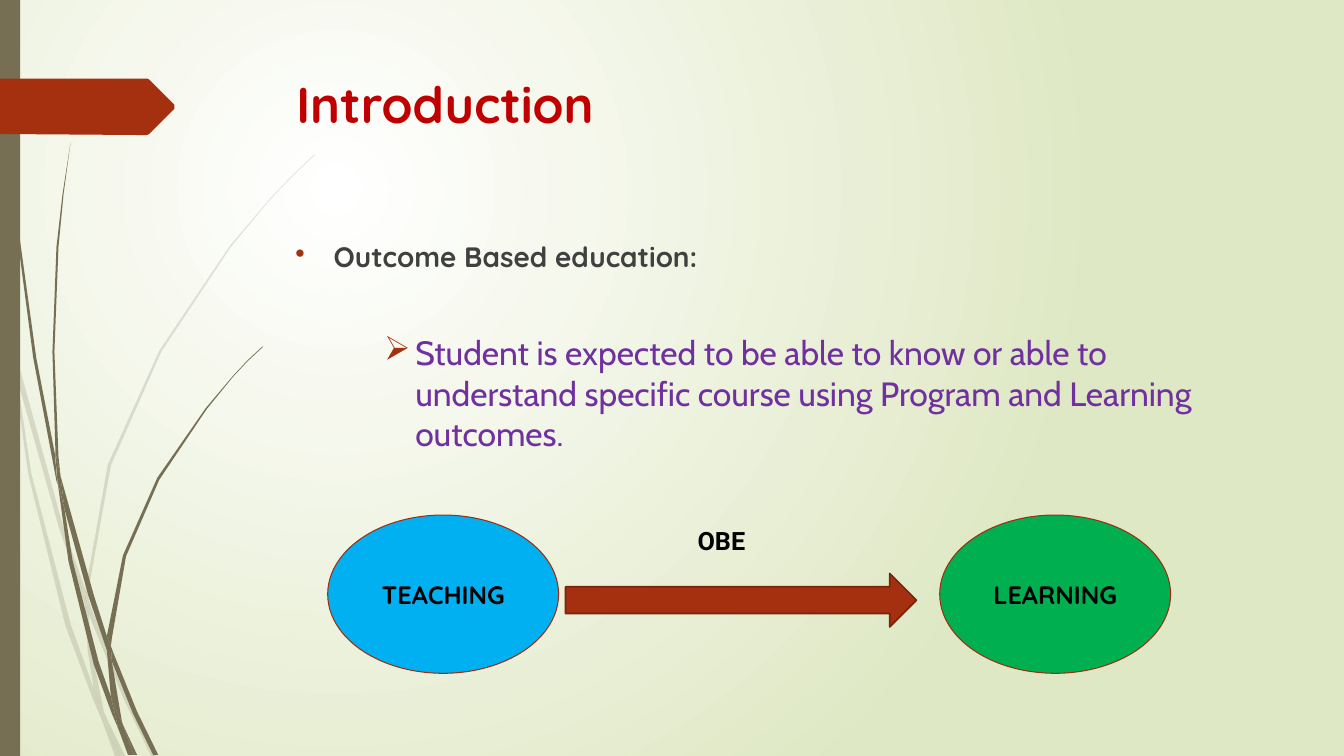
from lxml import etree
from pptx import Presentation
from pptx.dml.color import RGBColor
from pptx.enum.shapes import MSO_SHAPE
from pptx.enum.text import MSO_ANCHOR, PP_ALIGN
from pptx.oxml.ns import qn
from pptx.util import Inches, Pt

OVAL, ARROW, RECTANGLE = MSO_SHAPE.OVAL, MSO_SHAPE.RIGHT_ARROW, MSO_SHAPE.RECTANGLE
TOP, MIDDLE = MSO_ANCHOR.TOP, MSO_ANCHOR.MIDDLE
LEFT, CENTER = PP_ALIGN.LEFT, PP_ALIGN.CENTER

COLORS = {
    "white": "FFFFFF",
    "sage": "DFE8C4",
    "stem": "766F54",
    "rust": "A53010",
    "oval_edge": "9E2E0F",
    "arrow_edge": "7A240C",
    "title": "C00000",
    "body": "404040",
    "purple": "7030A0",
    "teaching": "00B0F0",
    "learning": "00B050",
    "black": "000000",
}

TITLE = {"name": "Quicksand", "size": Pt(36), "bold": True}
TOPIC = {"name": "Quicksand", "size": Pt(20), "bold": True}
DETAIL = {"name": "Cabin", "size": Pt(24), "bold": False}
LABEL = {"name": "Quicksand", "size": Pt(18), "bold": True}
CAPTION = {"name": "Roboto", "size": Pt(18), "bold": True}

PALE_STEMS = [
    "11,350 9,322 0,282 0,299 10,344",
    "58,522 84,599 85,586 62,520 14,345 17,376",
    "92,607 88,596 88,610 123,694 150,750 155,750 127,692",
    "119,750 124,750 105,711",
    "93,683 70,619 31,469 17,376 11,350 28,470 65,621 92,693 101,714 99,707",
    "84,599 87,646 93,683 96,692 105,711 103,706 91,646 88,610 88,608",
    "88,584 110,462 160,349 229,245 268,198 290,175 312,154 312,153 289,175 "
    "268,197 228,244 158,348 107,461 85,584 85,586 88,596",
    "101,714 114,750 119,750",
    "88,608 88,610 88,596 85,586 84,599",
    "96,692 93,683 99,707 101,714 119,750 105,711",
]
DARK_STEMS = [
    "7,110 17,233 33,355 56,477 57,481 55,457 55,453 36,355 19,232 8,109 5,48 "
    "4,0 3,0 4,48",
    "88,592 106,645 106,633 106,631 93,590 60,472 64,505",
    "113,649 110,641 111,656 132,708 152,749 157,749 136,706",
    "110,691 98,657 72,556 64,505 57,477 68,557 93,659 111,708 117,722 116,717",
    "60,472 58,453 54,349 58,245 63,193 70,141 62,193 56,245 52,349 55,449",
    "133,749 136,749 122,719",
    "57,477 64,505 60,472 55,449 55,453",
    "111,633 125,552 158,476 205,406 231,374 245,359 261,344 260,344 245,358 "
    "231,373 204,405 156,474 122,551 106,631 110,641",
    "117,722 127,749 131,749",
    "106,645 110,691 116,706 122,719 121,716 111,656 109,651",
    "106,645 109,651 111,656 110,641 106,631 106,633",
    "116,706 110,691 116,717 117,722 130,749 133,749 122,719",
]
PENTAGON = "173,108 148,133 146,134 136,134 0,133 0,78 136,78 146,78 148,79 173,104"


def rgb(name):
    return RGBColor.from_string(COLORS[name])


def set_values(target, values):
    for name, value in values.items():
        setattr(target, name, value)


def paint_background(page):
    fill = page.background.fill
    fill.gradient()
    for stop, color, position in zip(fill.gradient_stops, ("white", "sage"), (0, 1)):
        stop.color.rgb = rgb(color)
        stop.position = position
    linear = page.element.find(".//" + qn("a:lin"))
    radial = etree.Element(qn("a:path"), {"path": "circle"})
    corner = {"l": "50000", "t": "50000", "r": "100000", "b": "100000"}
    etree.SubElement(radial, qn("a:fillToRect"), corner)
    linear.getparent().replace(linear, radial)


def style_shape(shape, fill, edge=None, width=0.75):
    shape.shadow.inherit = False
    shape.fill.solid()
    shape.fill.fore_color.rgb = rgb(fill)
    if edge:
        shape.line.color.rgb = rgb(edge)
        shape.line.width = Pt(width)
    else:
        shape.line.fill.background()


def add_outline(page, outline, fill, opacity=None):
    points = [tuple(map(int, pair.split(","))) for pair in outline.split()]
    builder = page.shapes.build_freeform(*points[0], scale=Inches(0.01))
    builder.add_line_segments(points[1:], close=True)
    shape = builder.convert_to_shape()
    style_shape(shape, fill)
    if opacity:
        color = shape.element.spPr.find(".//" + qn("a:srgbClr"))
        etree.SubElement(color, qn("a:alpha"), {"val": str(opacity * 1000)})


def add_preset(page, kind, area, fill, edge=None, width=0.75):
    shape = page.shapes.add_shape(kind, *map(Inches, area))
    style_shape(shape, fill, edge, width)
    return shape


def write_span(para, text, font, color, align=LEFT):
    para.alignment = align
    span = para.add_run()
    span.text = text
    set_values(span.font, font)
    span.font.color.rgb = rgb(color)


def add_bullet(para, mark, margin, indent):
    properties = para._p.get_or_add_pPr()
    properties.set("marL", str(Inches(margin)))
    properties.set("indent", str(Inches(indent)))
    bullet_color = etree.SubElement(properties, qn("a:buClr"))
    etree.SubElement(bullet_color, qn("a:srgbClr"), {"val": COLORS["rust"]})
    etree.SubElement(properties, qn("a:buChar"), {"char": mark})


def add_text_box(page, area):
    frame = page.shapes.add_textbox(*map(Inches, area)).text_frame
    set_values(frame, {"word_wrap": True, "vertical_anchor": TOP})
    return frame


def add_body(page):
    frame = add_text_box(page, (2.83, 2.33, 9.75, 4.13))
    topic = frame.paragraphs[0]
    write_span(topic, "Outcome Based education:", TOPIC, "body")
    add_bullet(topic, "•", 0.38, -0.38)
    detail = frame.add_paragraph()
    set_values(detail, {"level": 2, "space_before": Pt(42)})
    write_span(
        detail,
        "Student is expected to be able to know or able to understand specific "
        "course using Program and Learning outcomes.",
        DETAIL,
        "purple",
    )
    add_bullet(detail, "➢", 1.19, -0.31)


def add_oval(page, left, text, fill):
    oval = add_preset(page, OVAL, (left, 5.11, 2.29, 1.57), fill, "oval_edge")
    oval.text_frame.vertical_anchor = MIDDLE
    write_span(oval.text_frame.paragraphs[0], text, LABEL, "black", CENTER)


def main():
    deck = Presentation()
    set_values(deck, {"slide_width": Inches(13.33), "slide_height": Inches(7.5)})
    page = deck.slides.add_slide(deck.slide_layouts[6])
    paint_background(page)
    for outline in PALE_STEMS:
        add_outline(page, outline, "stem", 20)
    for outline in DARK_STEMS:
        add_outline(page, outline, "stem")
    add_preset(page, RECTANGLE, (0, 0, 0.2, 7.5), "stem")
    add_outline(page, PENTAGON, "rust")
    title = add_text_box(page, (2.84, 0.68, 9.75, 1.4))
    write_span(title.paragraphs[0], "Introduction", TITLE, "title")
    add_body(page)
    add_oval(page, 3.25, "TEACHING", "teaching")
    add_oval(page, 9.32, "LEARNING", "learning")
    add_preset(page, ARROW, (5.61, 5.69, 3.48, 0.53), "rust", "arrow_edge", 1.25)
    caption = add_text_box(page, (6.82, 5.16, 2.39, 0.4))
    write_span(caption.paragraphs[0], "OBE", CAPTION, "black")
    deck.save("out.pptx")


if __name__ == "__main__":
    main()
